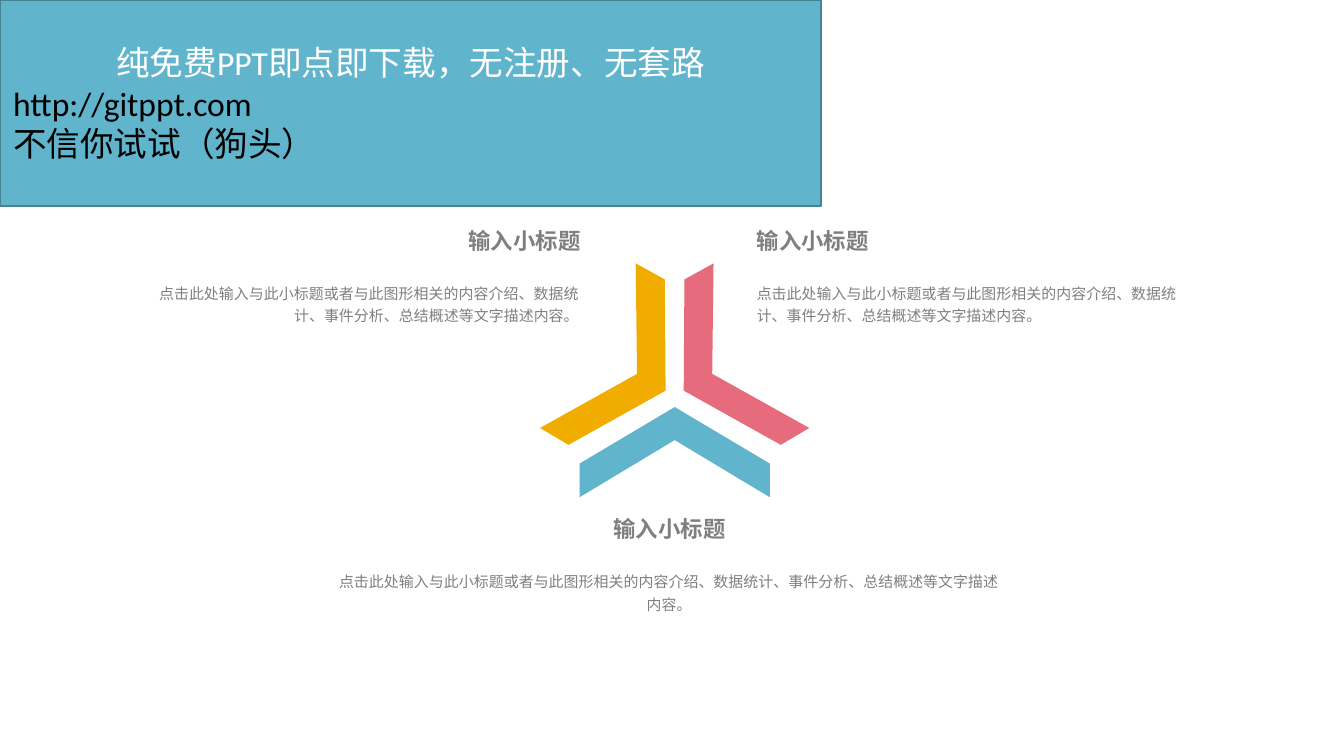
from lxml import etree
from pptx import Presentation
from pptx.dml.color import RGBColor
from pptx.enum.shapes import MSO_SHAPE
from pptx.enum.text import MSO_ANCHOR, PP_ALIGN
from pptx.oxml.ns import qn
from pptx.util import Pt

RECT = MSO_SHAPE.RECTANGLE
MIDDLE = MSO_ANCHOR.MIDDLE
LEFT, MID, RIGHT = PP_ALIGN.LEFT, PP_ALIGN.CENTER, PP_ALIGN.RIGHT
FONT = "Noto Sans CJK SC"
HEX = {"blue": "60B5CC", "gold": "F0AD00", "pink": "E66C7D",
       "edge": "448495", "gray": "7F7F7F",
       "white": "FFFFFF", "black": "000000"}

BANNER = [
    ("纯免费PPT即点即下载，无注册、无套路", MID, "white"),
    ("http://gitppt.com", LEFT, "black"),
    ("不信你试试（狗头）", LEFT, "black"),
]
HEAD = "输入小标题"
BODY = "点击此处输入与此小标题或者与此图形相关的内容介绍、数据统计、事件分析、总结概述等文字描述内容。"
# alignment, top, (left, width) of heading, (left, width) of body
NOTES = [
    (RIGHT, 115.2, (113, 198), (71.3, 239)),
    (LEFT, 115.2, (405.4, 197.5), (405.4, 239)),
    (MID, 269.8, (260, 197.5), (177.8, 361.4)),
]
GAP = 32  # from heading top to body top

AXIS = 361.45
ROOF = [(310.5, 266.4), (310.5, 248.4), (AXIS, 218.1),
        (412.4, 248.4), (412.4, 266.4), (AXIS, 235.8)]
ARM = [(340.6, 141.1), (356.2, 149.7), (356.6, 209.3),
       (304.6, 238.3), (289.3, 229.3), (341.3, 200.3)]
MIRROR = [(2 * AXIS - x, y) for x, y in ARM]
BANDS = [(ROOF, "blue"), (ARM, "gold"), (MIRROR, "pink")]


def color(name):
    return RGBColor.from_string(HEX[name])


def paint(shape, name):
    shape.shadow.inherit = False
    shape.fill.solid()
    shape.fill.fore_color.rgb = color(name)
    shape.line.fill.background()


def style(para, align, face, size, tint, bold=False):
    para.alignment = align
    font = para.runs[0].font
    font.size, font.bold, font.name = Pt(size), bold, face
    font.color.rgb = color(tint)
    east = etree.Element(qn("a:ea"), typeface=FONT)
    para.runs[0]._r.rPr.find(qn("a:latin")).addnext(east)


def band(slide, dots, name):
    dots = [(Pt(x), Pt(y)) for x, y in dots]
    pen = slide.shapes.build_freeform(*dots[0])
    pen.add_line_segments(dots[1:], close=True)
    paint(pen.convert_to_shape(), name)


def label(slide, text, span, top, high, align, size, bold):
    box = slide.shapes.add_textbox(Pt(span[0]), Pt(top), Pt(span[1]), Pt(high))
    frame = box.text_frame
    frame.word_wrap = True
    frame.margin_left = frame.margin_right = 0
    frame.margin_top = frame.margin_bottom = Pt(2.8)
    frame.text = text
    para = frame.paragraphs[0]
    para.line_spacing = 1.25
    style(para, align, FONT, size, "gray", bold)
    para._p.get_or_add_pPr().set("hangingPunct", "0")


def banner(slide):
    shape = slide.shapes.add_shape(RECT, 0, 0, Pt(440), Pt(110.2))
    paint(shape, "blue")
    shape.line.color.rgb = color("edge")
    shape.line.width = Pt(1)
    frame = shape.text_frame
    frame.word_wrap = True
    frame.vertical_anchor = MIDDLE
    frame.text = "\n".join(text for text, _, _ in BANNER)
    for para, (_, align, tint) in zip(frame.paragraphs, BANNER):
        style(para, align, "Calibri", 18, tint)


deck = Presentation()
deck.slide_width, deck.slide_height = Pt(720), Pt(405)
slide = deck.slides.add_slide(deck.slide_layouts[6])

for dots, name in BANDS:
    band(slide, dots, name)

for align, top, head, body in NOTES:
    label(slide, BODY, body, top + GAP, 29.5, align, 8, False)
    label(slide, HEAD, head, top, 23.8, align, 12, True)

banner(slide)

deck.save("out.pptx")
